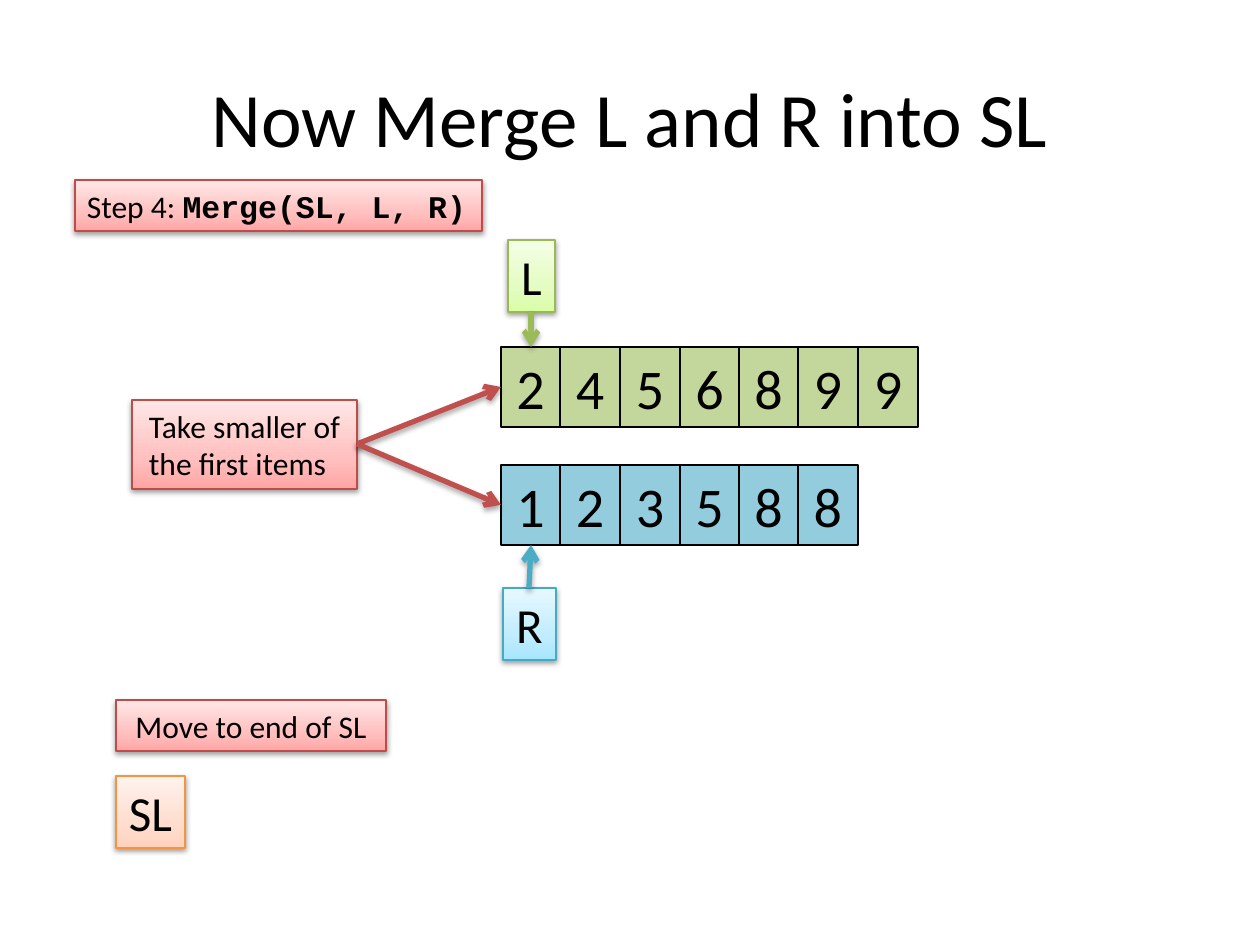
from lxml.etree import SubElement
from pptx import Presentation
from pptx.dml.color import RGBColor as Rgb
from pptx.enum.shapes import MSO_CONNECTOR as Connector, MSO_SHAPE as Preset
from pptx.enum.text import MSO_ANCHOR as Anchor, PP_ALIGN as Align
from pptx.oxml.ns import qn
from pptx.util import Pt

PX = 914400 // 126
COLORS = {
    "text": "000000", "left cell": "C3D69B", "right cell": "93CDDD",
    "left arrow": "9BBB59", "right arrow": "4BACC6", "step arrow": "C0504D",
    "step line": "BF4C48", "left line": "98B955",
    "right line": "46AAC5", "sorted line": "F69240",
}
GRADIENTS = {
    "step": ("FFA6A5", "FFC0BF", "FFE7E7"),
    "left": ("DAFDA7", "E4FCC2", "F5FFE7"),
    "right": ("A7E6FF", "C1EDFF", "E7F8FF"),
    "sorted": ("FFD2BD", "FFDED0", "FFF2ED"),
}


def write(shape, text, size=18, font="Calibri", bold=False, align=Align.CENTER,
          anchor=Anchor.MIDDLE, inset=0, wrap=True):
    """Append a formatted run to the first paragraph of a shape."""
    frame = shape.text_frame
    frame.word_wrap, frame.vertical_anchor = wrap, anchor
    frame.margin_left, frame.margin_right = inset * PX, 0
    paragraph = frame.paragraphs[0]
    paragraph.alignment = align
    run = paragraph.add_run()
    run.text = text
    run.font.size, run.font.name, run.font.bold = Pt(size), font, bold
    run.font.color.rgb = Rgb.from_string(COLORS["text"])


def add_shadow(element, distance, opacity):
    """Give a shape or connector a soft shadow straight below it."""
    effects = SubElement(element.spPr, qn("a:effectLst"))
    shadow = SubElement(effects, qn("a:outerShdw"), blurRad="40000",
                        dist=str(distance), dir="5400000", rotWithShape="0")
    color = SubElement(shadow, qn("a:srgbClr"), val="000000")
    SubElement(color, qn("a:alpha"), val=str(opacity * 1000))


deck = Presentation()
deck.slide_width, deck.slide_height = 1260 * PX, 945 * PX
slide = deck.slides.add_slide(deck.slide_layouts[5])
shapes = slide.shapes

title = shapes.title
title.left, title.top, title.width, title.height = (
    n * PX for n in (63, 38, 1134, 157))
write(title, "Now Merge L and R into SL", size=44)

# Labels: runs, theme, left, top, width, height, text format
code = {"font": "Courier New", "bold": True}
name = {"size": 28, "wrap": False}
step = {"align": Align.LEFT, "inset": 12, "wrap": False}
labels = [
    ([("Step 4: ", step), ("Merge(SL, L, R)", step | code)],
     "step", 75, 180, 407, 51),
    ([("L", name)], "left", 508, 240, 47, 72),
    ([("R", name)], "right", 503, 588, 53, 72),
    ([("SL", name)], "sorted", 116, 776, 69, 72),
    ([("Take smaller of the first items", {"align": Align.LEFT, "inset": 17})],
     "step", 132, 400, 225, 89),
    ([("Move to end of SL", {})], "step", 116, 700, 270, 51),
]
for runs, theme, *box in labels:
    label = shapes.add_shape(Preset.RECTANGLE, *(n * PX for n in box))
    label.fill.background()
    label.line.color.rgb = Rgb.from_string(COLORS[theme + " line"])
    label.line.width = Pt(0.75)
    blank = label.element.spPr.find(qn("a:noFill"))
    gradient = SubElement(label.element.spPr, qn("a:gradFill"), rotWithShape="1")
    label.element.spPr.replace(blank, gradient)
    stops = SubElement(gradient, qn("a:gsLst"))
    for position, color in zip((0, 35, 100), GRADIENTS[theme]):
        stop = SubElement(stops, qn("a:gs"), pos=str(position * 1000))
        SubElement(stop, qn("a:srgbClr"), val=color)
    SubElement(gradient, qn("a:lin"), ang="16200000", scaled="0")
    add_shadow(label.element, distance=20000, opacity=38)
    for text, style in runs:
        write(label, text, **style)

# The two sorted halves
ROW_LEFT, CELL_WIDTH, CELL_HEIGHT = 501, 59.5, 80
for digits, theme, top in (("2456899", "left", 347), ("123588", "right", 465)):
    for column, digit in enumerate(digits):
        left = round(ROW_LEFT + column * CELL_WIDTH)
        right = round(ROW_LEFT + (column + 1) * CELL_WIDTH)
        cell = shapes.add_shape(Preset.RECTANGLE, left * PX, top * PX,
                                (right - left) * PX, CELL_HEIGHT * PX)
        cell.shadow.inherit = False
        cell.fill.solid()
        cell.fill.fore_color.rgb = Rgb.from_string(COLORS[theme + " cell"])
        cell.line.color.rgb = Rgb.from_string(COLORS["text"])
        cell.line.width = Pt(0.75)
        write(cell, digit, size=32)

arrows = [
    ("left", 531, 312, 531, 347),
    ("right", 529, 588, 531, 545),
    ("step", 357, 444, 501, 387),
    ("step", 357, 444, 501, 505),
]
for theme, *ends in arrows:
    arrow = shapes.add_connector(Connector.STRAIGHT, *(n * PX for n in ends))
    arrow.line.color.rgb = Rgb.from_string(COLORS[theme + " arrow"])
    arrow.line.width = Pt(3)
    SubElement(arrow.line._get_or_add_ln(), qn("a:tailEnd"), type="arrow")
    add_shadow(arrow._element, distance=23000, opacity=35)

deck.save("out.pptx")
